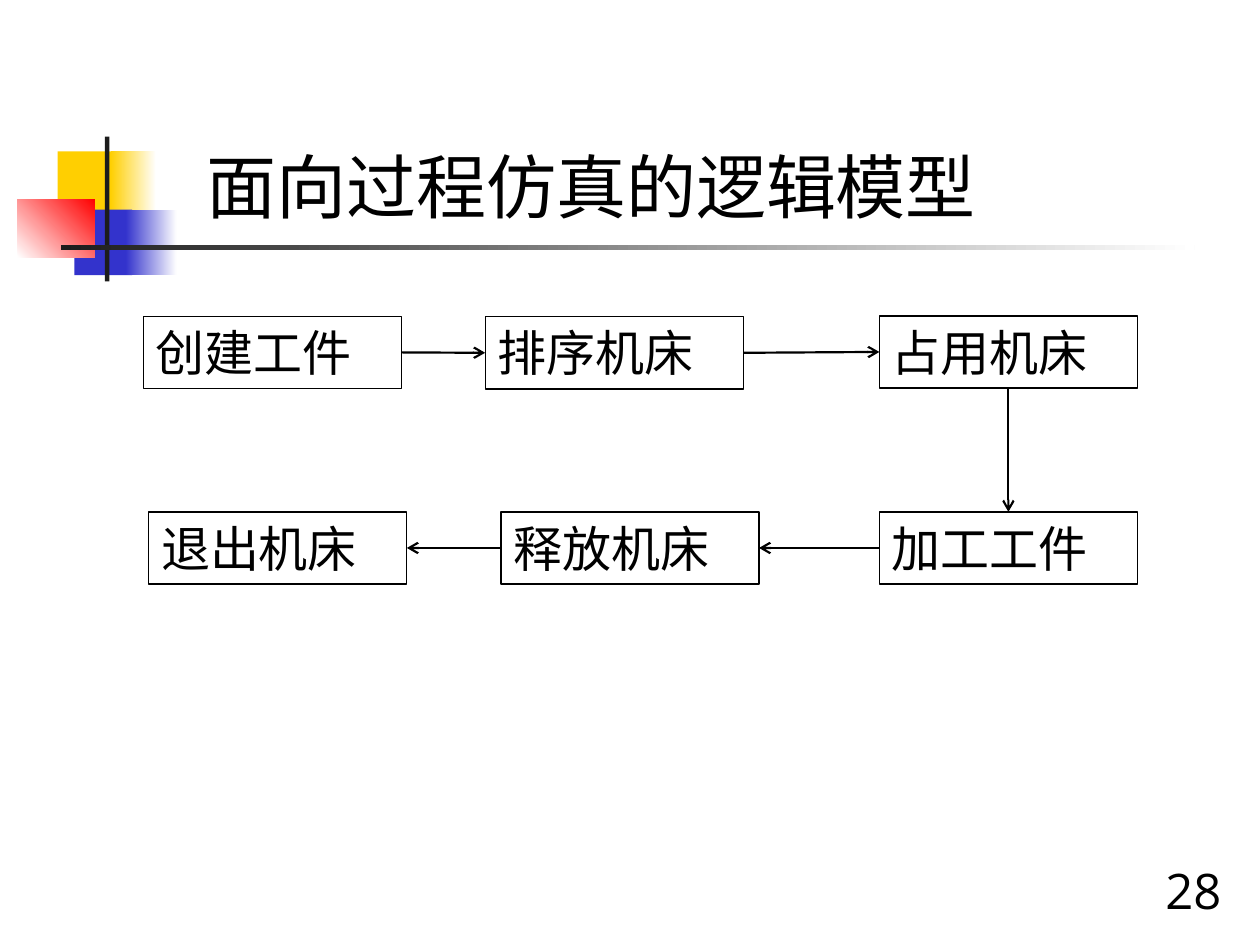
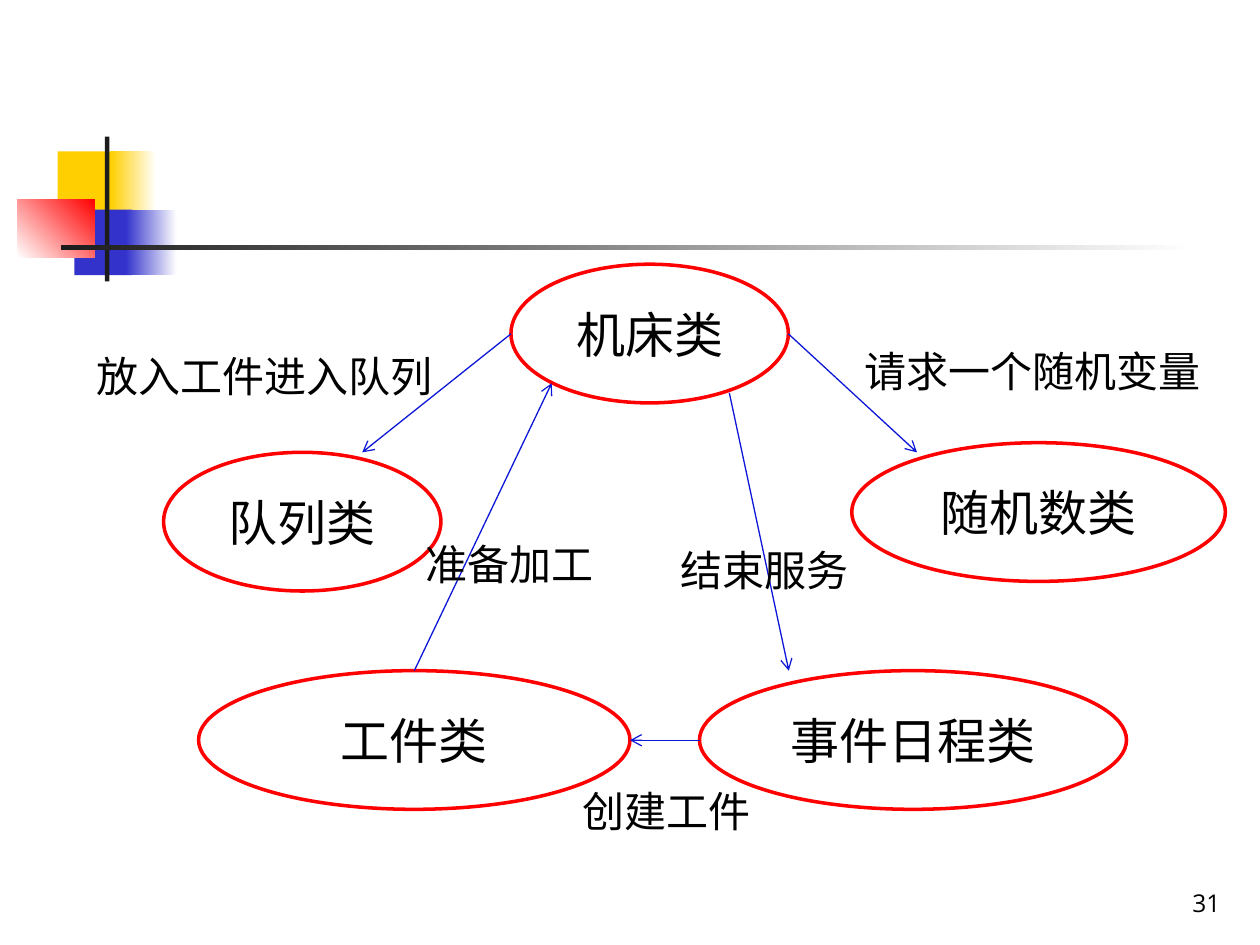
"""Build two slides on simulation modelling: a process flow and a class diagram."""
from dataclasses import dataclass

from lxml import etree
from pptx import Presentation
from pptx.dml.color import RGBColor
from pptx.enum.shapes import MSO_CONNECTOR, MSO_SHAPE
from pptx.enum.text import MSO_ANCHOR, PP_ALIGN
from pptx.oxml.ns import qn
from pptx.util import Pt

RECTANGLE, OVAL = MSO_SHAPE.RECTANGLE, MSO_SHAPE.OVAL
STRAIGHT = MSO_CONNECTOR.STRAIGHT
LEFT, CENTER, RIGHT = PP_ALIGN.LEFT, PP_ALIGN.CENTER, PP_ALIGN.RIGHT
TOP, MIDDLE, BOTTOM = MSO_ANCHOR.TOP, MSO_ANCHOR.MIDDLE, MSO_ANCHOR.BOTTOM
SITE_TOP, SITE_LEFT, SITE_BOTTOM, SITE_RIGHT = range(4)


@dataclass(frozen=True)
class Theme:
    font: str = "Open Sans"
    text: str = "000000"
    white: str = "FFFFFF"
    yellow: str = "FFCF01"
    blue: str = "3333CC"
    red: str = "FF0000"
    dark: str = "1C1C1C"
    arrow: str = "0D17D7"
    title_size: int = 40
    node_size: int = 28
    label_size: int = 24
    number_size: int = 14


theme = Theme()


def write_text(shape, text, size, align=LEFT, anchor=TOP):
    frame = shape.text_frame
    frame.word_wrap = True
    frame.vertical_anchor = anchor
    frame.text = text
    paragraph = frame.paragraphs[0]
    paragraph.alignment = align
    font = paragraph.runs[0].font
    font.name = theme.font
    font.size = Pt(size)
    font.color.rgb = RGBColor.from_string(theme.text)
    etree.SubElement(font._element, qn("a:ea"), typeface=theme.font)


def style_arrow(connector, color, width):
    connector.line.color.rgb = RGBColor.from_string(color)
    connector.line.width = Pt(width)
    etree.SubElement(connector.line._get_or_add_ln(), qn("a:tailEnd"), type="arrow")
    etree.SubElement(connector._element.spPr, qn("a:effectLst"))


presentation = Presentation()
presentation.slide_width, presentation.slide_height = Pt(720), Pt(540)
blank_layout = presentation.slide_layouts[6]
flow_slide = presentation.slides.add_slide(blank_layout)
class_slide = presentation.slides.add_slide(blank_layout)

ornaments = [
    ((33, 86.5, 34.5, 37.5), theme.yellow, theme.yellow, 0),
    ((63.25, 86.5, 26, 37.5), theme.yellow, theme.white, 0),
    ((42.5, 119.75, 33, 37.5), theme.blue, theme.blue, 0),
    ((72, 119.75, 29, 37.5), theme.blue, theme.white, 0),
    ((10, 113.75, 44.25, 33.5), theme.white, theme.red, 45),
    ((60, 78, 2.5, 82.75), theme.dark, theme.dark, 0),
    ((34.75, 140, 648, 2.75), theme.dark, theme.white, 0),
]
page_numbers = [
    (flow_slide, "28", (510, 493, 195, 36), theme.node_size),
    (class_slide, "31", (554.5, 492, 150, 36), theme.number_size),
]
for slide, number, bounds, size in page_numbers:
    for ornament_bounds, start_color, end_color, angle in ornaments:
        ornament = slide.shapes.add_shape(RECTANGLE, *map(Pt, ornament_bounds))
        ornament.shadow.inherit = False
        ornament.line.fill.background()
        if start_color == end_color:
            ornament.fill.solid()
            ornament.fill.fore_color.rgb = RGBColor.from_string(start_color)
        else:
            ornament.fill.gradient()
            ornament.fill.gradient_angle = angle
            for stop, color in zip(ornament.fill.gradient_stops, (start_color, end_color)):
                stop.color.rgb = RGBColor.from_string(color)
    page_number = slide.shapes.add_textbox(*map(Pt, bounds))
    write_text(page_number, number, size, RIGHT, BOTTOM)

title = flow_slide.shapes.add_textbox(Pt(111), Pt(71.5), Pt(487.5), Pt(62))
write_text(title, "面向过程仿真的逻辑模型", theme.title_size, anchor=BOTTOM)

steps = [
    ("创建工件", 82, 180.75),
    ("排序机床", 277.25, 181),
    ("占用机床", 502.5, 180.5),
    ("加工工件", 502.5, 292.5),
    ("释放机床", 286.25, 292.5),
    ("退出机床", 85, 292.5),
]
step_boxes = []
for text, left, top in steps:
    box = flow_slide.shapes.add_shape(RECTANGLE, Pt(left), Pt(top), Pt(147.5), Pt(41.25))
    box.shadow.inherit = False
    box.fill.background()
    box.line.color.rgb = RGBColor.from_string(theme.text)
    box.line.width = Pt(0.75)
    write_text(box, text, theme.node_size)
    step_boxes.append(box)

step_sites = [(SITE_RIGHT, SITE_LEFT)] * 2 + [(SITE_BOTTOM, SITE_TOP)] + [(SITE_LEFT, SITE_RIGHT)] * 2
for source, target, (start_site, end_site) in zip(step_boxes, step_boxes[1:], step_sites):
    connector = flow_slide.shapes.add_connector(STRAIGHT, 0, 0, 0, 0)
    connector.begin_connect(source, start_site)
    connector.end_connect(target, end_site)
    style_arrow(connector, theme.text, 1.25)

classes = [
    ("机床类", 292, 151, 158.5),
    ("工件类", 113.5, 383.25, 246.5),
    ("队列类", 93.5, 258.5, 158.5),
    ("随机数类", 486.75, 253, 213.5),
    ("事件日程类", 399.75, 383.25, 244),
]
for text, left, top, width in classes:
    ellipse = class_slide.shapes.add_shape(OVAL, Pt(left), Pt(top), Pt(width), Pt(79.25))
    ellipse.shadow.inherit = False
    ellipse.fill.background()
    ellipse.line.color.rgb = RGBColor.from_string(theme.red)
    ellipse.line.width = Pt(2)
    write_text(ellipse, text, theme.node_size, CENTER, MIDDLE)

messages = [
    (292, 190.75, 207, 258.5),
    (450.5, 190.75, 524, 258.5),
    (416.75, 224.5, 450.75, 383.25),
    (236.75, 383.25, 315.25, 219),
    (399.75, 423, 360, 423),
]
for ends in messages:
    connector = class_slide.shapes.add_connector(STRAIGHT, *map(Pt, ends))
    style_arrow(connector, theme.arrow, 0.75)

labels = [
    ("放入工件进入队列", 48, 196.5, 232.5),
    ("请求一个随机变量", 487, 194, 214),
    ("准备加工", 236.25, 304, 124),
    ("结束服务", 382, 307.5, 122),
    ("创建工件", 326, 445.5, 164),
]
for text, left, top, width in labels:
    label = class_slide.shapes.add_textbox(Pt(left), Pt(top), Pt(width), Pt(36.5))
    write_text(label, text, theme.label_size)

presentation.save("out.pptx")
